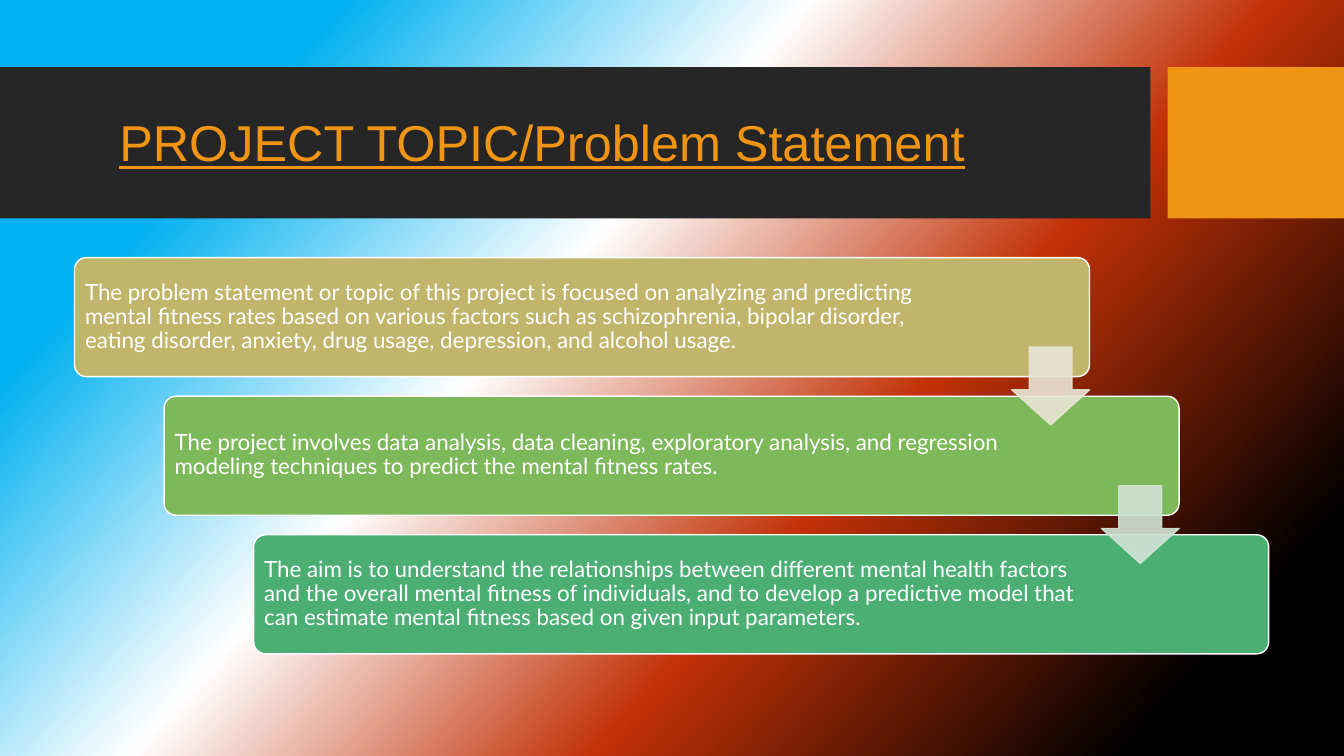
import pptx
import pptx.util
import pptx.dml.color
import pptx.enum.shapes
import pptx.enum.text
import pptx.oxml
import pptx.oxml.ns
from dataclasses import dataclass

Pt = pptx.util.Pt
MSO_SHAPE = pptx.enum.shapes.MSO_SHAPE

TITLE = "PROJECT TOPIC/Problem Statement"
# text, card colour, width of the text
STEPS = [
    ("The problem statement or topic of this project is focused on analyzing and predicting "
     "mental fitness rates based on various factors such as schizophrenia, bipolar disorder, "
     "eating disorder, anxiety, drug usage, depression, and alcohol usage.", "C1B56B", 633),
    ("The project involves data analysis, data cleaning, exploratory analysis, and regression "
     "modeling techniques to predict the mental fitness rates.", "7DB95A", 600.5),
    ("The aim is to understand the relationships between different mental health factors "
     "and the overall mental fitness of individuals, and to develop a predictive model that "
     "can estimate mental fitness based on given input parameters.", "4BAF73", 600.5),
]
ARROW_COLORS = ["E9E5D4", "D0E3D5"]


@dataclass(frozen=True)
class Theme:
    accent: str = "F09415"
    band: str = "262626"
    text: str = "FFFFFF"
    backdrop: tuple = ((17, "00B0F0"), (40, "FFFFFF"), (63, "C23107"), (89, "000000"))
    backdrop_angle: int = 42
    title_font: str = "Arial"
    body_font: str = "Lato"
    title_size: int = 36
    body_size: int = 16


THEME = Theme()

# Layout in points
SLIDE_W, SLIDE_H = 960, 540
BAND_TOP, BAND_H, BAND_W, BLOCK_W = 48, 108, 821.75, 126
CARD_X, CARD_Y, CARD_W, CARD_H = 53.25, 184, 725, 85
STEP_X, STEP_Y = 64, 99
TEXT_INSET, TEXT_MARGIN = 2.5, 5
ARROW_SIZE, ARROW_DROP = 55.5, 64


def rgb(color):
    return pptx.dml.color.RGBColor.from_string(color)


def add_block(s, preset, box, color, line=None):
    sp = s.shapes.add_shape(preset, *map(Pt, box))
    sp.shadow.inherit = False
    sp.fill.solid()
    sp.fill.fore_color.rgb = rgb(color)
    if line:
        sp.line.color.rgb = rgb(line)
        sp.line.width = Pt(1)
    else:
        sp.line.fill.background()
    return sp


def set_font(p, name, size, color):
    p.line_spacing = 0.9
    p.alignment = pptx.enum.text.PP_ALIGN.LEFT
    p.font.name = name
    p.font.size = Pt(size)
    p.font.color.rgb = rgb(color)


def paint_backdrop(s):
    fill = s.background.fill
    fill.gradient()
    fill.gradient_angle = 360 - THEME.backdrop_angle
    stops = s.background._cSld.find(".//" + pptx.oxml.ns.qn("a:gsLst"))
    for stop in list(stops):
        stops.remove(stop)
    for percent, color in THEME.backdrop:
        stops.append(pptx.oxml.parse_xml(
            f'<a:gs {pptx.oxml.ns.nsdecls("a")} pos="{percent * 1000}">'
            f'<a:srgbClr val="{color}"/></a:gs>'))


def add_header(s):
    add_block(s, MSO_SHAPE.RECTANGLE, (0, BAND_TOP, BAND_W, BAND_H), THEME.band)
    add_block(s, MSO_SHAPE.RECTANGLE,
              (SLIDE_W - BLOCK_W, BAND_TOP, BLOCK_W, BAND_H), THEME.accent)
    title = s.shapes.title
    s.shapes._spTree.append(title._element)  # in front of the band
    title.left, title.top, title.width, title.height = map(Pt, (78, 81, 756.5, 85))
    tf = title.text_frame
    tf.text = TITLE
    tf.word_wrap = True
    tf.auto_size = pptx.enum.text.MSO_AUTO_SIZE.NONE
    tf.vertical_anchor = pptx.enum.text.MSO_ANCHOR.TOP
    p = tf.paragraphs[0]
    set_font(p, THEME.title_font, THEME.title_size, THEME.accent)
    p.font.underline = True


def add_card(s, x, y, text, color, text_w):
    card = add_block(s, MSO_SHAPE.ROUNDED_RECTANGLE, (x, y, CARD_W, CARD_H), color, THEME.text)
    card.adjustments[0] = 0.1
    box = s.shapes.add_textbox(Pt(x + TEXT_INSET), Pt(y + TEXT_INSET),
                               Pt(text_w), Pt(CARD_H - 2 * TEXT_INSET))
    tf = box.text_frame
    tf.word_wrap = True
    tf.vertical_anchor = pptx.enum.text.MSO_ANCHOR.MIDDLE
    tf.margin_left = tf.margin_right = tf.margin_top = tf.margin_bottom = Pt(TEXT_MARGIN)
    tf.text = text
    set_font(tf.paragraphs[0], THEME.body_font, THEME.body_size, THEME.text)


def add_arrow(s, x, y, color):
    """Translucent arrow from the card at x, y down to the next card."""
    arrow = add_block(s, MSO_SHAPE.DOWN_ARROW,
                      (x + CARD_W - ARROW_SIZE, y + ARROW_DROP, ARROW_SIZE, ARROW_SIZE),
                      color, color)
    arrow.adjustments[0] = 0.55
    arrow.adjustments[1] = 0.45
    for clr in arrow._element.spPr.iter(pptx.oxml.ns.qn("a:srgbClr")):
        clr.append(pptx.oxml.parse_xml(
            f'<a:alpha {pptx.oxml.ns.nsdecls("a")} val="90000"/>'))


def main():
    prs = pptx.Presentation()
    prs.slide_width, prs.slide_height = Pt(SLIDE_W), Pt(SLIDE_H)
    s = prs.slides.add_slide(prs.slide_layouts.get_by_name("Title Only"))
    paint_backdrop(s)
    add_header(s)
    corners = [(CARD_X + i * STEP_X, CARD_Y + i * STEP_Y) for i in range(len(STEPS))]
    for (x, y), step in zip(corners, STEPS):
        add_card(s, x, y, *step)
    for (x, y), color in zip(corners, ARROW_COLORS):
        add_arrow(s, x, y, color)
    prs.save("out.pptx")


if __name__ == "__main__":
    main()
